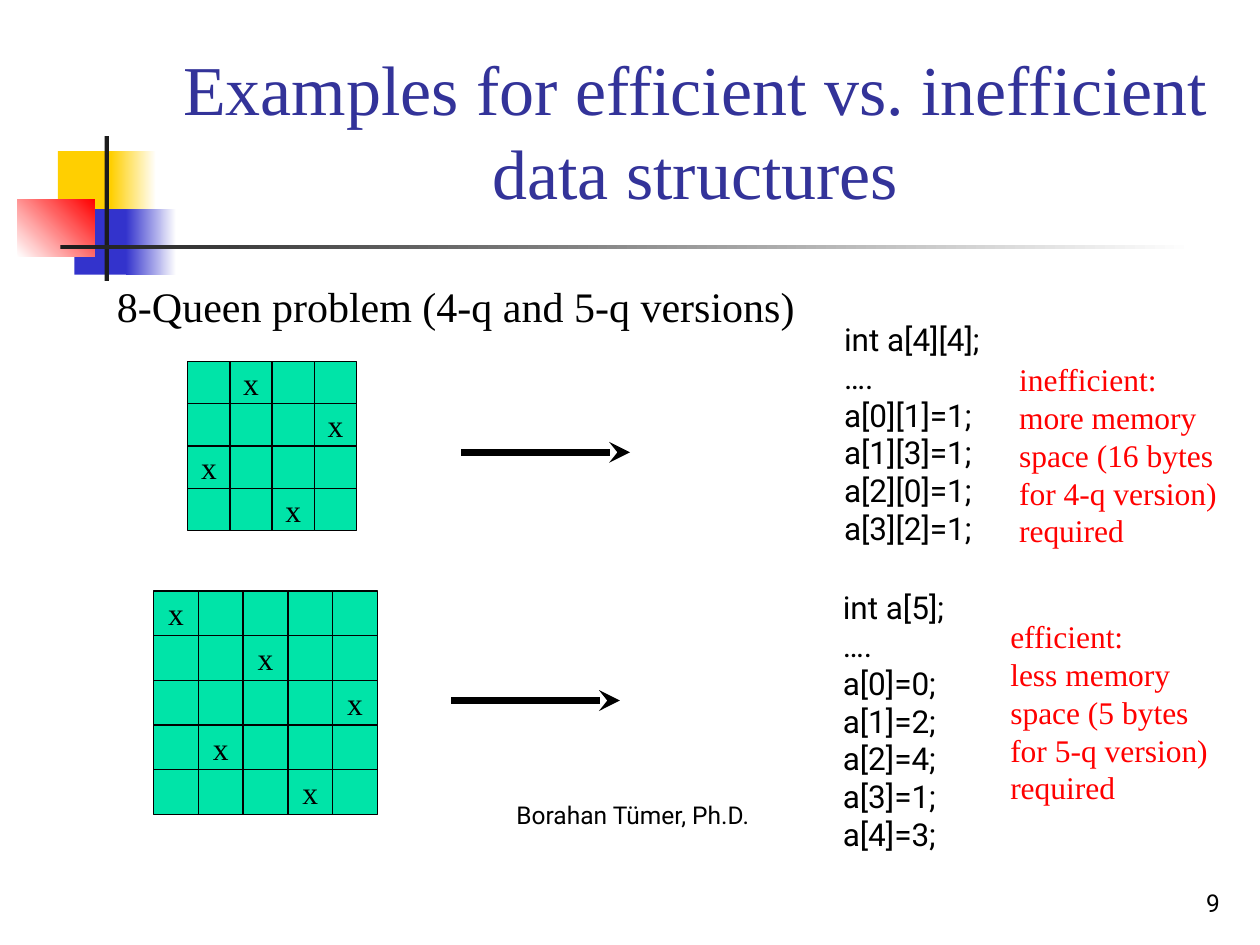
from lxml import etree
from pptx import Presentation
from pptx import util as u
from pptx.dml.color import RGBColor
from pptx.enum import shapes, text
from pptx.oxml import ns

WHITE = RGBColor(0xFF, 0xFF, 0xFF)
BLACK = RGBColor(0, 0, 0)
INK = RGBColor(0x1C, 0x1C, 0x1C)
GOLD = RGBColor(0xFF, 0xCF, 0x01)
BLUE = RGBColor(0x33, 0x33, 0xCC)
RED = RGBColor(0xFF, 0, 0)
NAVY = RGBColor(0x33, 0x33, 0x99)
MINT = RGBColor(0x00, 0xE4, 0xA8)
SERIF, SANS = "Times New Roman", "Roboto"
COLS, ROWS = 100, 75
WIDE, HIGH = u.Inches(10), u.Inches(7.5)
LEFT, MID, RIGHT = text.PP_ALIGN.LEFT, text.PP_ALIGN.CENTER, text.PP_ALIGN.RIGHT
TOP, BASE = text.MSO_ANCHOR.TOP, text.MSO_ANCHOR.BOTTOM


def place(*at):
    """Turn grid columns and rows into slide lengths."""
    sides = (WIDE / COLS, HIGH / ROWS) * 2
    return [u.Emu(round(n * side)) for n, side in zip(at, sides)]


def write(shape, lines, size=18, face=SERIF, color=BLACK, align=LEFT,
          anchor=TOP, wrap=False):
    """Fill a shape with formatted lines of text."""
    frame = shape.text_frame
    frame.text = lines
    frame.auto_size = text.MSO_AUTO_SIZE.NONE
    frame.word_wrap = wrap
    frame.vertical_anchor = anchor
    for para in frame.paragraphs:
        para.alignment = align
        para.line_spacing = u.Pt(1.2 * size)
        font = para.font
        font.size, font.name = u.Pt(size), face
        font.color.rgb = color


def label(slide, at, lines, **form):
    """Add a text box at a grid place."""
    write(slide.shapes.add_textbox(*place(*at)), lines, **form)


def block(slide, at, color, fade=None, angle=0, edge=False):
    """Add a rectangle with a plain or fading fill."""
    rect = slide.shapes.add_shape(shapes.MSO_SHAPE.RECTANGLE, *place(*at))
    rect.shadow.inherit = False
    if fade is None:
        rect.fill.solid()
        rect.fill.fore_color.rgb = color
    else:
        rect.fill.gradient()
        rect.fill.gradient_angle = angle
        for stop, tone in zip(rect.fill.gradient_stops, (color, fade)):
            stop.color.rgb = tone
    if edge:
        rect.line.color.rgb = BLACK
        rect.line.width = u.Pt(0.75)
    else:
        rect.line.fill.background()
    return rect


def board(slide, left, top, step, queens):
    """Draw a chess board with one queen column per row."""
    for row, queen in enumerate(queens):
        for col in range(len(queens)):
            at = left + col * step, top + row * step, step, step
            cell = block(slide, at, MINT, edge=True)
            if col == queen:
                write(cell, "x", align=MID, anchor=text.MSO_ANCHOR.MIDDLE)


def arrow(slide, left, top, span):
    """Draw a level arrow pointing right."""
    line = slide.shapes.add_connector(
        shapes.MSO_CONNECTOR.STRAIGHT, *place(left, top, left + span, top))
    line.line.color.rgb = BLACK
    line.line.width = u.Pt(4)
    etree.SubElement(line.line._get_or_add_ln(), ns.qn("a:tailEnd"), type="stealth")
    etree.SubElement(line._element.spPr, ns.qn("a:effectLst"))


def decor(slide):
    """Draw the coloured blocks and the rules by the title."""
    block(slide, (4.6, 12, 4.8, 5.2), GOLD)
    block(slide, (8.8, 12, 3.6, 5.2), GOLD, WHITE)
    block(slide, (5.9, 16.6, 4.6, 5.2), BLUE)
    block(slide, (10, 16.6, 4, 5.2), BLUE, WHITE)
    block(slide, (1.4, 15.8, 6.1, 4.6), WHITE, RED, angle=45)
    block(slide, (8.3, 10.8, 0.35, 11.5), INK)
    block(slide, (4.8, 19.45, 90, 0.35), INK, WHITE)


def main():
    """Build the slide and save it."""
    deck = Presentation()
    deck.slide_width, deck.slide_height = WIDE, HIGH
    slide = deck.slides.add_slide(deck.slide_layouts[5])
    decor(slide)
    title = slide.shapes.title
    title.left, title.top, title.width, title.height = place(12.6, 2.3, 85.2, 16)
    write(title, "Examples for efficient vs. inefficient data structures",
          size=40, color=NAVY, align=MID, anchor=text.MSO_ANCHOR.MIDDLE, wrap=True)
    label(slide, (8.3, 21.8, 57.5, 6), "8-Queen problem (4-q and 5-q versions)",
          size=24, wrap=True)
    board(slide, 14.9, 28.7, 3.35, (1, 3, 0, 2))
    board(slide, 12.2, 46.9, 3.55, (0, 2, 4, 1, 3))
    arrow(slide, 36.6, 35.9, 13.4)
    arrow(slide, 35.8, 55.6, 13.4)
    label(slide, (66, 24.9, 13.9, 19),
          "int a[4][4];\n….\na[0][1]=1;\na[1][3]=1;\na[2][0]=1;\na[3][2]=1;", face=SANS)
    label(slide, (65.9, 46.2, 10.9, 22),
          "int a[5];\n….\na[0]=0;\na[1]=2;\na[2]=4;\na[3]=1;\na[4]=3;", face=SANS)
    label(slide, (79.9, 28.1, 17.7, 16),
          "inefficient:\nmore memory\nspace (16 bytes\nfor 4-q version)\nrequired", color=RED)
    label(slide, (79.2, 48.5, 18.3, 16),
          "efficient:\nless memory\nspace (5 bytes\nfor 5-q version)\nrequired", color=RED)
    label(slide, (40, 61.3, 31.7, 5), "Borahan Tümer, Ph.D.", size=14, face=SANS,
          anchor=BASE, wrap=True)
    label(slide, (77, 68.3, 20.8, 5), "9", size=14, face=SANS, align=RIGHT,
          anchor=BASE, wrap=True)
    deck.save("out.pptx")


if __name__ == "__main__":
    main()
